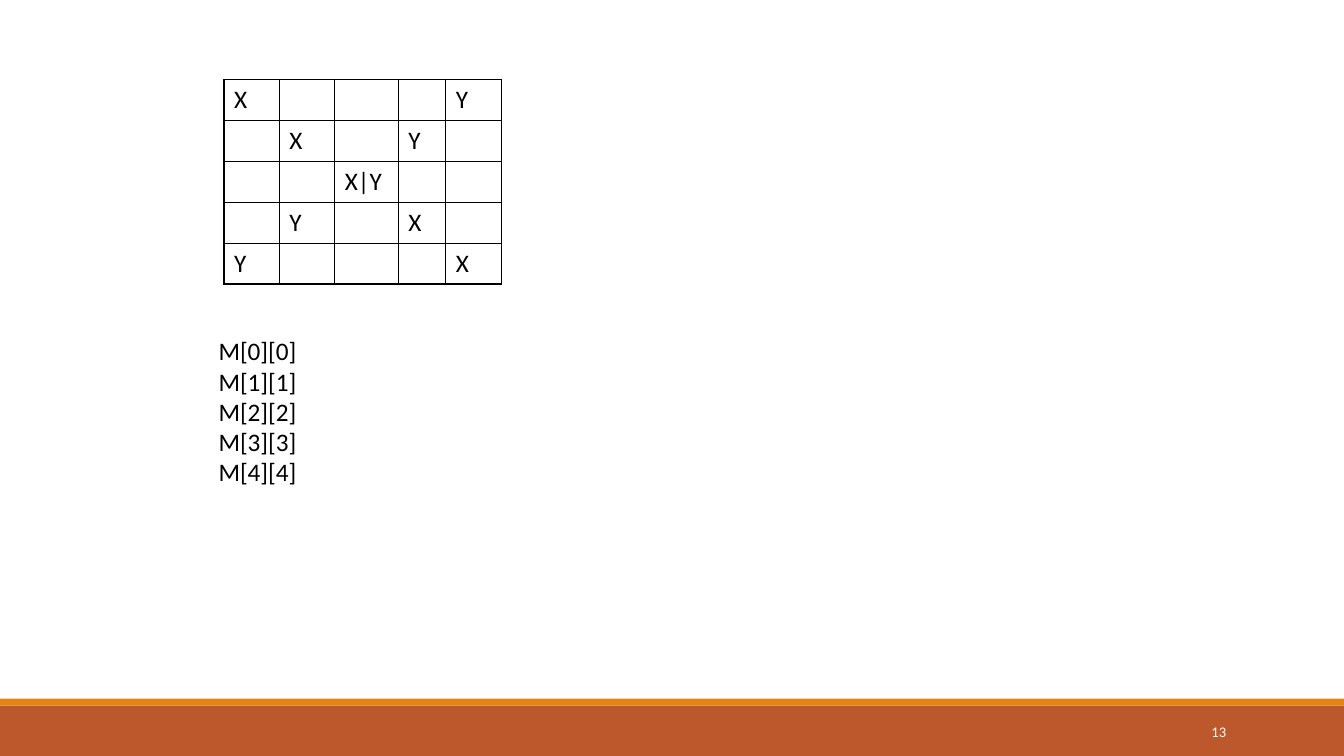
from dataclasses import dataclass

from lxml import etree
from pptx import Presentation
from pptx import util as u
from pptx.dml.color import RGBColor
from pptx.enum import shapes, text
from pptx.oxml import ns


@dataclass(frozen=True)
class Theme:
    font: str = "Calibri"
    ink: str = "000000"
    white: str = "FFFFFF"
    rust: str = "BD582C"
    orange: str = "E48312"
    body: float = 18
    small: float = 10.5


theme = Theme()


def style(p, size, color):
    p.font.name = theme.font
    p.font.size = u.Pt(size)
    p.font.color.rgb = RGBColor.from_string(color)


def add_border(tcPr, side):
    ln = etree.SubElement(tcPr, ns.qn(f"a:{side}"), w=str(u.Pt(1)))
    fill = etree.SubElement(ln, ns.qn("a:solidFill"))
    etree.SubElement(fill, ns.qn("a:srgbClr"), val=theme.ink)


prs = Presentation()
prs.slide_width, prs.slide_height = u.Pt(960), u.Pt(540)
s = prs.slides.add_slide(prs.slide_layouts[6])

# Footer bands
for top, height, color in ((504, 36, theme.rust), (499, 5, theme.orange)):
    sp = s.shapes.add_shape(shapes.MSO_SHAPE.RECTANGLE,
                            0, u.Pt(top), u.Pt(960), u.Pt(height))
    sp.shadow.inherit = False
    sp.fill.solid()
    sp.fill.fore_color.rgb = RGBColor.from_string(color)
    sp.line.fill.background()

# Slide number
sp = s.shapes.add_textbox(u.Pt(780), u.Pt(508.5), u.Pt(103), u.Pt(28.8))
tf = sp.text_frame
tf.word_wrap = True
tf.vertical_anchor = text.MSO_ANCHOR.MIDDLE
p = tf.paragraphs[0]
p.text = "13"
p.alignment = text.PP_ALIGN.RIGHT
style(p, theme.small, theme.white)

# Matrix: X on the main diagonal, Y on the other one
widths = (39.6, 39.6, 45.4, 33.8, 39.6)
n = len(widths)
row_height = 29.2
table = s.shapes.add_table(n, n, u.Pt(160), u.Pt(56.9),
                           u.Pt(sum(widths)), u.Pt(n * row_height)).table
table.first_row = table.horz_banding = False
for i, width in enumerate(widths):
    table.columns[i].width = u.Pt(width)
    table.rows[i].height = u.Pt(row_height)
    for j in range(n):
        cell = table.cell(i, j)
        marks = (["X"] if i == j else []) + (["Y"] if i + j == n - 1 else [])
        p = cell.text_frame.paragraphs[0]
        if marks:
            p.text = "|".join(marks)
        style(p, theme.body, theme.ink)
        tcPr = cell._tc.get_or_add_tcPr()
        for side in ("lnL", "lnR", "lnT", "lnB"):
            add_border(tcPr, side)
        cell.fill.background()

# Indices of the main diagonal
sp = s.shapes.add_textbox(u.Pt(149), u.Pt(236.2), u.Pt(154), u.Pt(116.6))
tf = sp.text_frame
tf.word_wrap = True
tf.auto_size = text.MSO_AUTO_SIZE.SHAPE_TO_FIT_TEXT
for i in range(n):
    p = tf.paragraphs[0] if i == 0 else tf.add_paragraph()
    p.text = f"M[{i}][{i}]"
    style(p, theme.body, theme.ink)

prs.save("out.pptx")
